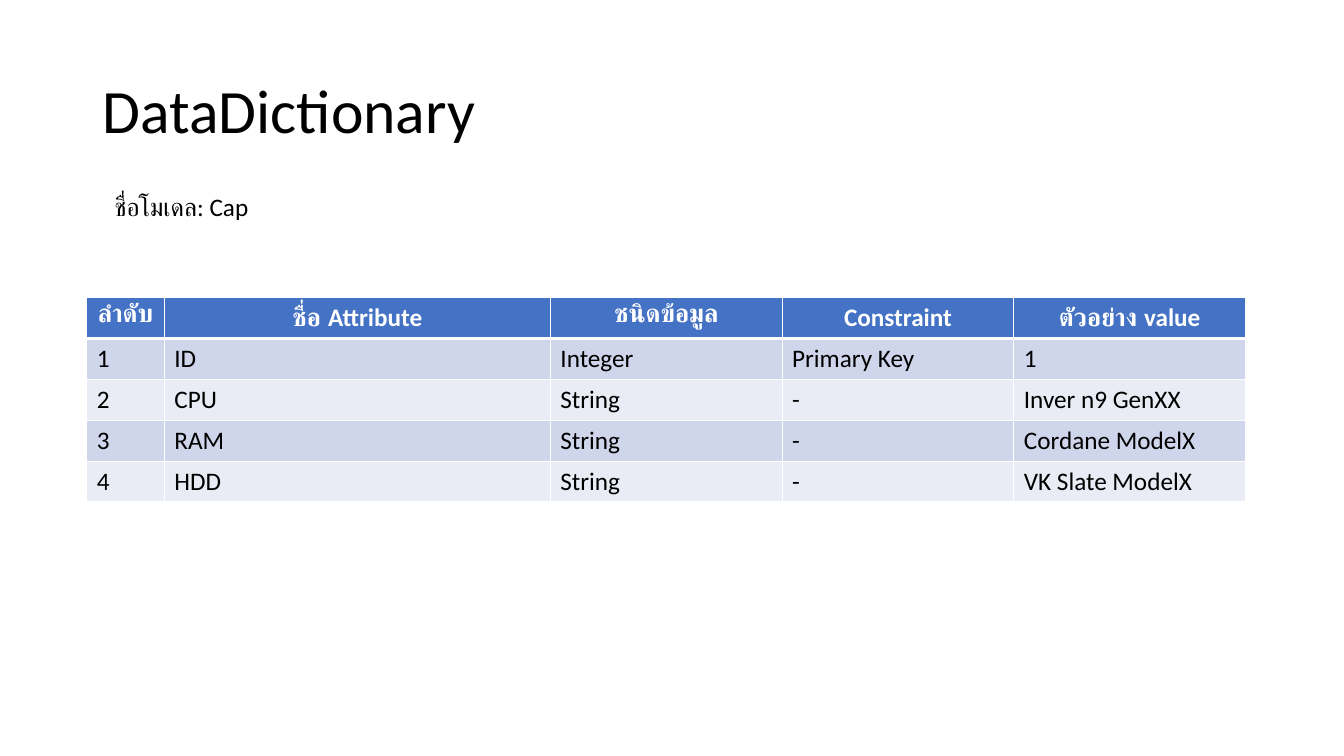
from lxml.etree import SubElement
from pptx import Presentation
from pptx.dml.color import RGBColor
from pptx.enum.text import MSO_ANCHOR as ANCHOR, PP_ALIGN as ALIGN
from pptx.oxml.ns import qn
from pptx.util import Cm, Pt

TITLE = "DataDictionary"
MODEL = "ชื่อโมเดล: Cap"
HEADER = ["ลำดับ", "ชื่อ Attribute", "ชนิดข้อมูล", "Constraint", "ตัวอย่าง value"]
ATTRIBUTES = [
    ("ID", "Integer", "Primary Key", "1"),
    ("CPU", "String", "-", "Inver n9 GenXX"),
    ("RAM", "String", "-", "Cordane ModelX"),
    ("HDD", "String", "-", "VK Slate ModelX"),
]
COL_WIDTHS = [1.95, 9.73, 5.84, 5.84, 5.84]
ROW_HEIGHT = 1.03
BLACK, WHITE, BLUE = "000000", "FFFFFF", "4472C4"
BANDS = ["CFD5EA", "E9EBF5"]

TITLE_FORMAT = {"name": "Calibri", "size": Pt(44), "bold": False}
BODY_FORMAT = {"name": "Calibri", "size": Pt(18), "bold": False}
HEADER_FORMAT = {**BODY_FORMAT, "bold": True}


def rgb(value):
    return RGBColor.from_string(value)


def write(tf, text, font_format, color, align=ALIGN.LEFT):
    p = tf.paragraphs[0]
    p.alignment = align
    r = p.add_run()
    r.text = text
    for name, value in font_format.items():
        setattr(r.font, name, value)
    r.font.color.rgb = rgb(color)
    return p


def add_borders(cell, widths):
    """Draw white cell edges; widths maps L, R, T, B to points."""
    tc_pr = cell._tc.get_or_add_tcPr()
    for side, width in widths.items():
        ln = SubElement(tc_pr, qn(f"a:ln{side}"), w=str(Pt(width)))
        SubElement(SubElement(ln, qn("a:solidFill")), qn("a:srgbClr"), val=WHITE)


prs = Presentation()
prs.slide_width, prs.slide_height = Cm(33.87), Cm(19.05)
s = prs.slides.add_slide(prs.slide_layouts[5])

title = s.shapes.title
title.left, title.top, title.width, title.height = Cm(2.33), Cm(1.01), Cm(29.21), Cm(3.68)
title.text_frame.vertical_anchor = ANCHOR.MIDDLE
write(title.text_frame, TITLE, TITLE_FORMAT, BLACK).line_spacing = 0.9

rows = [HEADER] + [(str(i), *row) for i, row in enumerate(ATTRIBUTES, 1)]
table = s.shapes.add_table(len(rows), len(HEADER), Cm(2.19), Cm(7.5),
                           Cm(sum(COL_WIDTHS)), Cm(ROW_HEIGHT * len(rows))).table
for column, width in zip(table.columns, COL_WIDTHS):
    column.width = Cm(width)
for i, row in enumerate(rows):
    table.rows[i].height = Cm(ROW_HEIGHT)
    for j, text in enumerate(row):
        cell = table.cell(i, j)
        add_borders(cell, {"L": 1, "R": 1, "T": 3 if i == 1 else 1, "B": 3 if i == 0 else 1})
        cell.fill.solid()
        cell.fill.fore_color.rgb = rgb(BANDS[(i - 1) % 2] if i else BLUE)
        if i:
            write(cell.text_frame, text, BODY_FORMAT, BLACK)
        else:
            write(cell.text_frame, text, HEADER_FORMAT, WHITE, ALIGN.CENTER)

model = s.shapes.add_textbox(Cm(2.64), Cm(4.7), Cm(10.39), Cm(1.03))
model.text_frame.word_wrap = True
write(model.text_frame, MODEL, BODY_FORMAT, BLACK)

prs.save("out.pptx")
